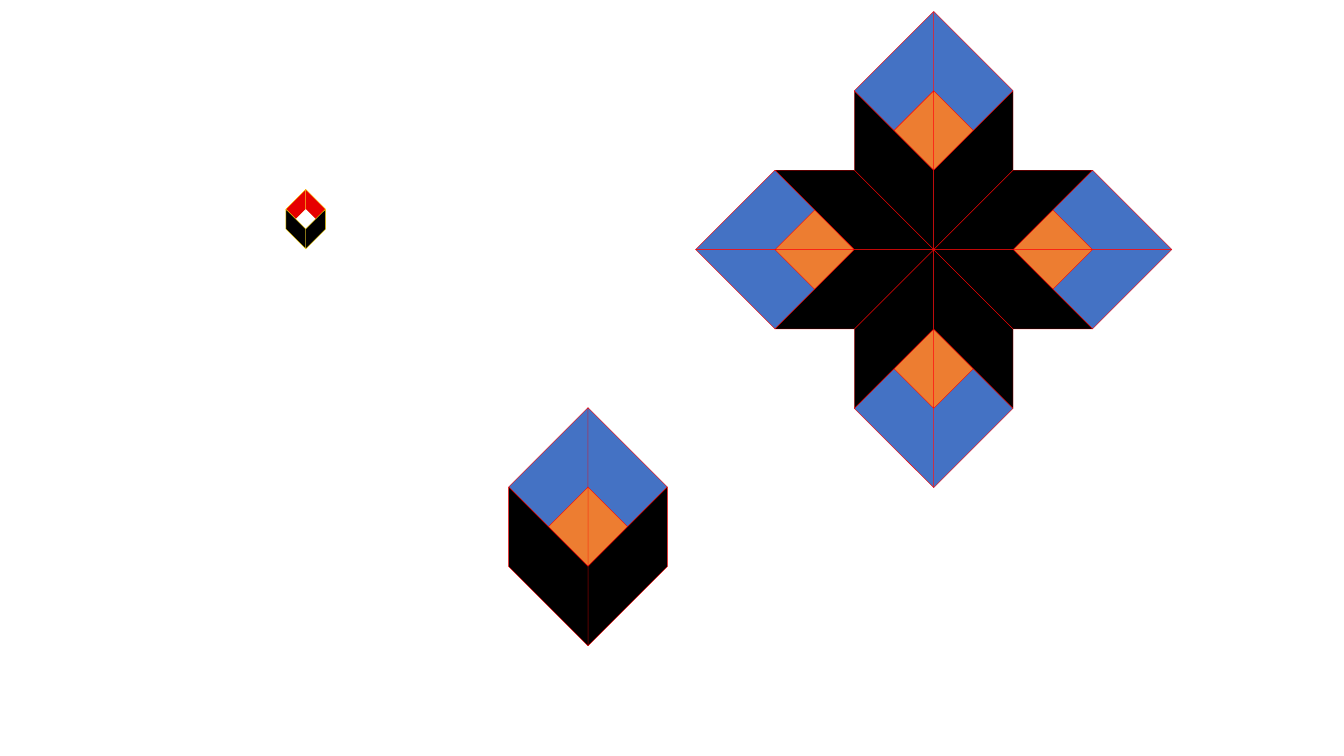
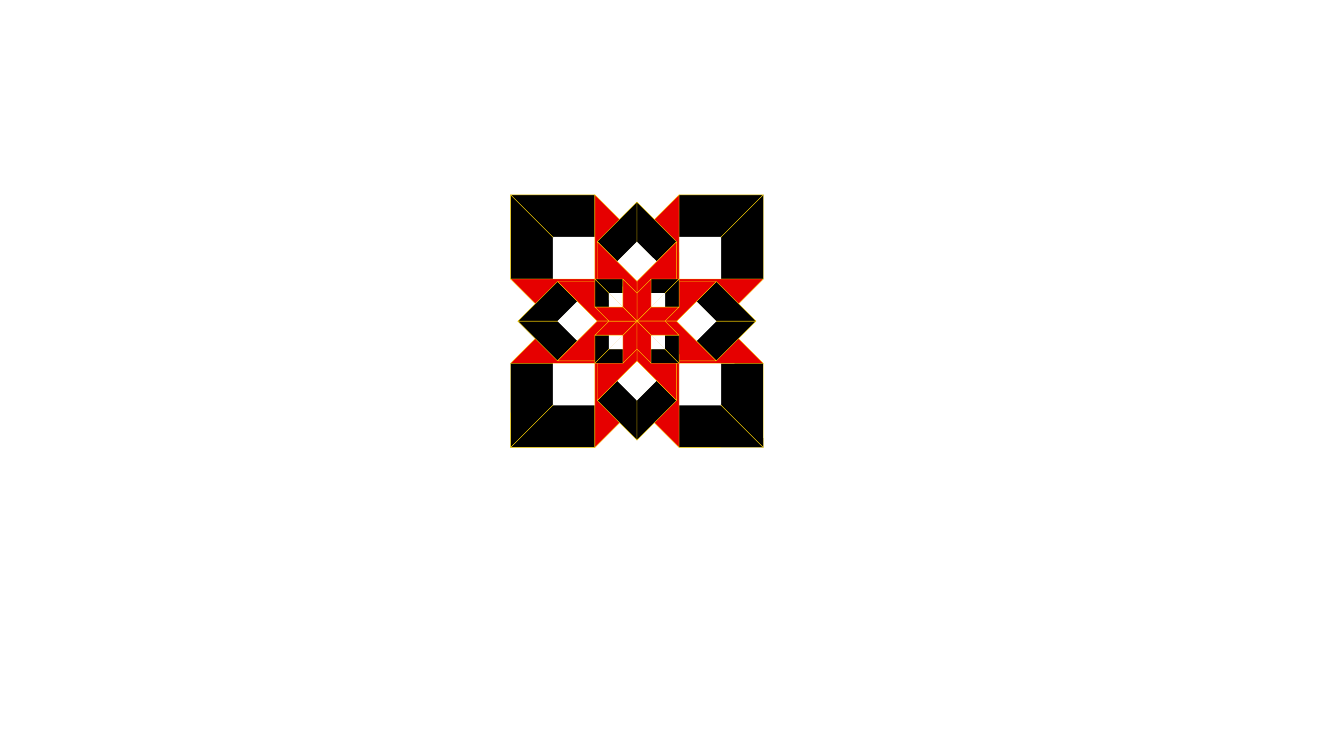
import math
from dataclasses import dataclass
from typing import NamedTuple, Optional

import pptx
import pptx.dml.color
import pptx.shapes.autoshape
import pptx.slide
import pptx.util

SLIDE_WIDTH, SLIDE_HEIGHT = 960, 540
CENTIMETRE = 28.35
OUTLINE_WIDTH = 0.25
BLACK, WHITE, RED, GOLD = "000000", "FFFFFF", "E60000", "FFD700"
BLUE, ORANGE, BRIGHT_RED = "4472C4", "ED7D31", "FF0000"

CAP = ((0, 3), (0, 1.98), (0.49, 1.49), (1, 2))
DIAMOND_HALF = ((0, 2), (0.5, 1.5), (0, 1))
SIDE = ((1, 2), (1, 1), (0, 0), (0, 1))

UP, DOWN = 1, -1


class Palette(NamedTuple):
    cap: str
    diamond: str
    side: str
    line: str
    diamond_line: Optional[str]


@dataclass(frozen=True)
class Bloom:
    unit: float
    palette: Palette
    rotations: tuple[int, ...] = (0,)
    directions: tuple[int, ...] = (UP, DOWN)


@dataclass(frozen=True)
class Motif:
    x: float
    y: float
    blooms: tuple[Bloom, ...]


BLUE_CUBE = Palette(BLUE, ORANGE, BLACK, BRIGHT_RED, BRIGHT_RED)
RED_CUBE = Palette(RED, WHITE, BLACK, GOLD, None)
BLACK_CUBE = Palette(BLACK, WHITE, RED, GOLD, None)

SLIDES = (
    (
        Motif(420.05, 461.3, (Bloom(2 * CENTIMETRE, BLUE_CUBE, directions=(UP,)),)),
        Motif(218.4, 177.8, (Bloom(0.5 * CENTIMETRE, RED_CUBE, directions=(UP,)),)),
        Motif(666.95, 178.3, (Bloom(2 * CENTIMETRE, BLUE_CUBE, (0, 90), (DOWN, UP)),)),
    ),
    (
        Motif(
            455,
            229.4,
            (
                Bloom(1.5 * CENTIMETRE, BLACK_CUBE, (45, 315)),
                Bloom(CENTIMETRE, BLACK_CUBE, (0, 270)),
                Bloom(0.5 * CENTIMETRE, BLACK_CUBE, (45, 315)),
            ),
        ),
    ),
)


def color(value: str) -> pptx.dml.color.RGBColor:
    return pptx.dml.color.RGBColor.from_string(value)


def rotation_shift(
    points: list[tuple[float, float]], rotation: int
) -> tuple[float, float]:
    x, y = ((min(values) + max(values)) / 2 for values in zip(*points))
    sine, cosine = math.sin(math.radians(rotation)), math.cos(math.radians(rotation))
    return x * cosine - y * sine - x, x * sine + y * cosine - y


def draw_polygon(
    slide: pptx.slide.Slide,
    points: list[tuple[float, float]],
    rotation: int,
    fill: str,
    line: Optional[str],
) -> pptx.shapes.autoshape.Shape:
    vertices = [(pptx.util.Pt(x), pptx.util.Pt(y)) for x, y in points]
    builder = slide.shapes.build_freeform(*vertices[0])
    builder.add_line_segments(vertices[1:], close=True)
    shape = builder.convert_to_shape()
    shape.rotation = rotation
    shape.shadow.inherit = False
    shape.fill.solid()
    shape.fill.fore_color.rgb = color(fill)
    if line:
        shape.line.color.rgb = color(line)
        shape.line.width = pptx.util.Pt(OUTLINE_WIDTH)
    else:
        shape.line.fill.background()
    return shape


def draw_petal(
    slide: pptx.slide.Slide, motif: Motif, bloom: Bloom, rotation: int, direction: int
) -> list[pptx.shapes.autoshape.Shape]:
    palette = bloom.palette
    facets = (
        (CAP, palette.cap, palette.line, (-1, 1)),
        (DIAMOND_HALF, palette.diamond, palette.diamond_line, (1, -1)),
        (SIDE, palette.side, palette.line, (1, -1)),
    )
    shapes = []
    for outline, fill, line, mirrors in facets:
        for mirror in mirrors:
            offsets = [
                (mirror * across * bloom.unit, -direction * up * bloom.unit)
                for across, up in outline
            ]
            shift_x, shift_y = rotation_shift(offsets, rotation)
            points = [
                (motif.x + x + shift_x, motif.y + y + shift_y) for x, y in offsets
            ]
            shapes.append(draw_polygon(slide, points, rotation, fill, line))
    return shapes


def draw_motif(slide: pptx.slide.Slide, motif: Motif) -> None:
    shapes = [
        shape
        for bloom in motif.blooms
        for rotation in bloom.rotations
        for direction in bloom.directions
        for shape in draw_petal(slide, motif, bloom, rotation, direction)
    ]
    slide.shapes.add_group_shape(shapes)


def main() -> None:
    presentation = pptx.Presentation()
    presentation.slide_width = pptx.util.Pt(SLIDE_WIDTH)
    presentation.slide_height = pptx.util.Pt(SLIDE_HEIGHT)
    for motifs in SLIDES:
        slide = presentation.slides.add_slide(presentation.slide_layouts[6])
        for motif in motifs:
            draw_motif(slide, motif)
    presentation.save("out.pptx")


if __name__ == "__main__":
    main()
